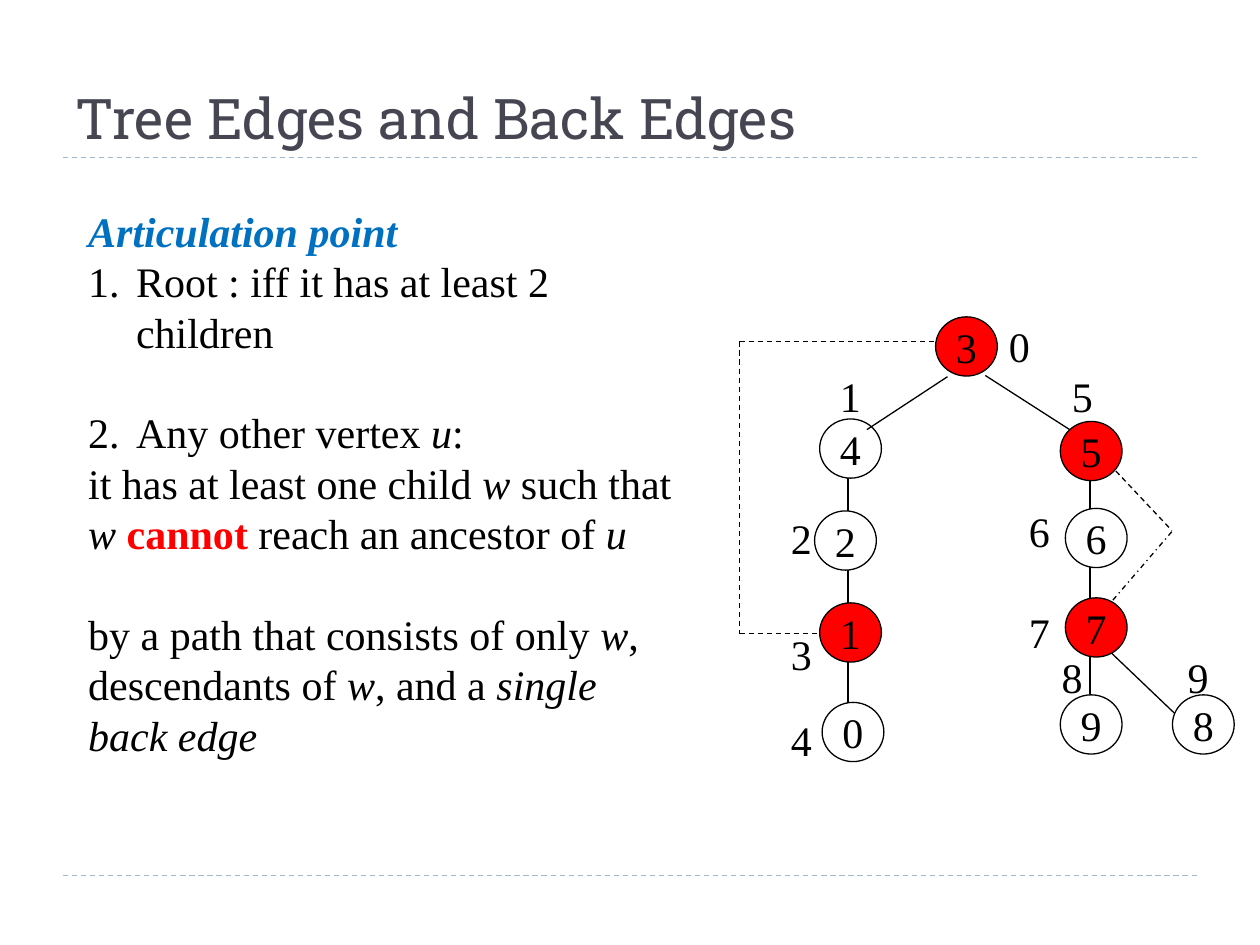
"""Build the slide on tree edges, back edges and articulation points."""
from lxml import etree
from pptx import Presentation
from pptx import util as u
from pptx.dml.color import RGBColor
from pptx.enum import dml, shapes, text
from pptx.oxml import ns

HUES = {"ink": "000000", "title": "464653", "rule": "9FB8CD",
        "blue": "0070C0", "red": "FF0000", "white": "FFFFFF"}
SERIF, SIZE, LEAD = "Times New Roman", 24, 28.8
NODE, TAG = (0.49, 0.47), (0.4, 0.5)

TITLE = "Tree Edges and Back Edges"
BODY = [
    (0, False, [("Articulation point", "bi", "blue")]),
    (1, False, [("Root : iff it has at least 2 children", "", "ink")]),
    (2, True, [("Any other vertex ", "", "ink"), ("u", "i", "ink"),
               (":", "", "ink")]),
    (0, False, [("it has at least one child ", "", "ink"), ("w", "i", "ink"),
                (" such that ", "", "ink"), ("w ", "i", "ink"),
                ("cannot", "b", "red"),
                (" reach an ancestor of ", "", "ink"), ("u", "i", "ink")]),
    (0, True, [("by a path that consists of only ", "", "ink"),
               ("w", "i", "ink"), (", descendants of ", "", "ink"),
               ("w", "i", "ink"), (", and a ", "", "ink"),
               ("single back edge", "i", "ink")]),
]
NODES = [
    ("3", 7.67, 2.75, "red"), ("4", 6.75, 3.56, "white"),
    ("5", 8.66, 3.58, "red"), ("2", 6.71, 4.29, "white"),
    ("6", 8.7, 4.27, "white"), ("1", 6.75, 5.02, "red"),
    ("7", 8.7, 4.98, "red"), ("0", 6.77, 5.81, "white"),
    ("9", 8.66, 5.75, "white"), ("8", 9.55, 5.75, "white"),
]
TAGS = [
    ("0", 8.09, 2.74), ("1", 6.75, 3.14), ("5", 8.59, 3.14),
    ("2", 6.36, 4.27), ("6", 8.25, 4.21), ("3", 6.36, 5.19),
    ("7", 8.25, 5.01), ("4", 6.36, 5.87), ("8", 8.51, 5.37),
    ("9", 9.51, 5.37),
]
DASH, DOT = dml.MSO_LINE.DASH, dml.MSO_LINE.DASH_DOT
RULES = [(0.5, y, 9.5, y, DASH) for y in (1.25, 6.95)]
BACK = [
    (5.87, 2.71, 7.68, 2.71, DASH), (5.87, 2.71, 5.87, 5.03, DASH),
    (5.87, 5.03, 6.73, 5.03, DASH), (8.66, 3.53, 9.3, 4.21, DASH),
    (9.3, 4.22, 8.62, 5.01, DOT),
]
TREE = [(6.73, 3.56, 6.73, 5.93, None), (8.65, 3.59, 8.65, 5.87, None),
        (8.65, 5.02, 9.52, 5.85, None)]
ROOT = [(7.52, 2.99, 6.88, 3.41, None), (7.82, 2.98, 8.49, 3.41, None)]


def hue(name):
    return RGBColor.from_string(HUES[name])


def style(run, color="ink", size=SIZE, face=SERIF, marks=""):
    font = run.font
    font.name, font.size = face, u.Pt(size)
    font.bold, font.italic = "b" in marks, "i" in marks
    font.color.rgb = hue(color)


def place(shape, left, top, width, height):
    shape.left, shape.top = u.Inches(left), u.Inches(top)
    shape.width, shape.height = u.Inches(width), u.Inches(height)


def center(x, y, size):
    wide, high = size
    return [u.Inches(v) for v in (x - wide / 2, y - high / 2, wide, high)]


def digit(shape, label):
    frame = shape.text_frame
    frame.text = label
    frame.word_wrap = False
    frame.vertical_anchor = text.MSO_ANCHOR.MIDDLE
    para = frame.paragraphs[0]
    para.alignment = text.PP_ALIGN.CENTER
    style(para.runs[0])


def draw_lines(slide, lines, color="ink"):
    for *ends, dash in lines:
        line = slide.shapes.add_connector(
            shapes.MSO_CONNECTOR.STRAIGHT, *[u.Inches(v) for v in ends])
        line.line.width = u.Pt(0.75)
        line.line.color.rgb = hue(color)
        if dash:
            line.line.dash_style = dash
        etree.SubElement(line._element.spPr, ns.qn("a:effectLst"))


def draw_nodes(slide):
    for label, x, y, fill in NODES:
        node = slide.shapes.add_shape(
            shapes.MSO_SHAPE.OVAL, *center(x, y, NODE))
        node.shadow.inherit = False
        node.fill.solid()
        node.fill.fore_color.rgb = hue(fill)
        node.line.color.rgb = hue("ink")
        node.line.width = u.Pt(0.75)
        digit(node, label)


def draw_tags(slide):
    for label, x, y in TAGS:
        digit(slide.shapes.add_textbox(*center(x, y, TAG)), label)


def number(para, start):
    props = para._p.get_or_add_pPr()
    indent = u.Inches(0.38) if start else 0
    props.set("marL", str(indent))
    props.set("indent", str(-indent))
    if start:
        mark = etree.SubElement(props, ns.qn("a:buAutoNum"))
        mark.set("type", "arabicPeriod")
        mark.set("startAt", str(start))
    else:
        etree.SubElement(props, ns.qn("a:buNone"))


def fill_title(shape):
    place(shape, 0.5, 0.17, 9, 1.08)
    frame = shape.text_frame
    frame.text = TITLE
    frame.vertical_anchor = text.MSO_ANCHOR.BOTTOM
    para = frame.paragraphs[0]
    para.alignment = text.PP_ALIGN.LEFT
    style(para.runs[0], "title", 32, "Roboto Slab")


def fill_body(shape):
    place(shape, 0.6, 1.58, 4.83, 4.95)
    frame = shape.text_frame
    frame.auto_size = text.MSO_AUTO_SIZE.NONE
    for row, (start, gap, parts) in enumerate(BODY):
        para = frame.add_paragraph() if row else frame.paragraphs[0]
        para.space_before = u.Pt(LEAD if gap else 0)
        number(para, start)
        for words, marks, color in parts:
            run = para.add_run()
            run.text = words
            style(run, color, marks=marks)


def main():
    deck = Presentation()
    deck.slide_width, deck.slide_height = u.Inches(10), u.Inches(7.5)
    slide = deck.slides.add_slide(deck.slide_layouts[1])
    title, body = slide.placeholders
    fill_title(title)
    fill_body(body)
    draw_lines(slide, RULES, "rule")
    draw_lines(slide, BACK + TREE)
    draw_nodes(slide)
    draw_tags(slide)
    draw_lines(slide, ROOT)
    deck.save("out.pptx")


if __name__ == "__main__":
    main()
